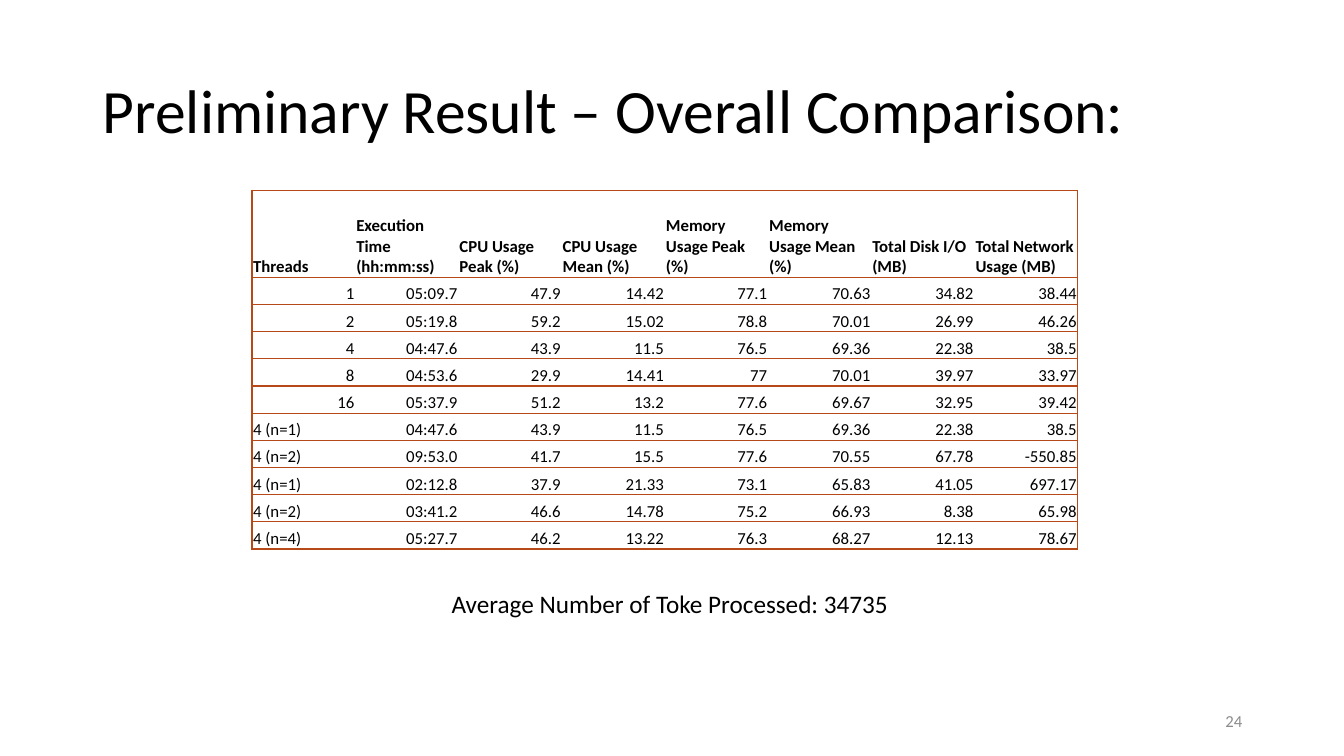
from lxml import etree
from pptx import Presentation
from pptx import util as u
from pptx.dml import color
from pptx.enum import text
from pptx.oxml import ns

TITLE = "Preliminary Result – Overall Comparison:"
CAPTION = "Average Number of Toke Processed: 34735"
PAGE = "24"
HEADINGS = (
    "Threads", "Execution Time (hh:mm:ss)", "CPU Usage Peak (%)",
    "CPU Usage Mean (%)", "Memory Usage Peak (%)", "Memory Usage Mean (%)",
    "Total Disk I/O (MB)", "Total Network Usage (MB)",
)
RUNS = [
    ("1", "05:09.7", "47.9", "14.42", "77.1", "70.63", "34.82", "38.44"),
    ("2", "05:19.8", "59.2", "15.02", "78.8", "70.01", "26.99", "46.26"),
    ("4", "04:47.6", "43.9", "11.5", "76.5", "69.36", "22.38", "38.5"),
    ("8", "04:53.6", "29.9", "14.41", "77", "70.01", "39.97", "33.97"),
    ("16", "05:37.9", "51.2", "13.2", "77.6", "69.67", "32.95", "39.42"),
    ("4 (n=1)", "04:47.6", "43.9", "11.5", "76.5", "69.36", "22.38", "38.5"),
    ("4 (n=2)", "09:53.0", "41.7", "15.5", "77.6", "70.55", "67.78", "-550.85"),
    ("4 (n=1)", "02:12.8", "37.9", "21.33", "73.1", "65.83", "41.05", "697.17"),
    ("4 (n=2)", "03:41.2", "46.6", "14.78", "75.2", "66.93", "8.38", "65.98"),
    ("4 (n=4)", "05:27.7", "46.2", "13.22", "76.3", "68.27", "12.13", "78.67"),
]
BLACK, WHITE, GREY, RUST = "000000", "FFFFFF", "8C8C8C", "B74919"
LEFT, RIGHT = text.PP_ALIGN.LEFT, text.PP_ALIGN.RIGHT
MIDDLE, BOTTOM = text.MSO_ANCHOR.MIDDLE, text.MSO_ANCHOR.BOTTOM
TABLE_LEFT, TABLE_TOP, TABLE_WIDTH = 2.5, 1.89, 8.19
HEADING_HEIGHT, RUN_HEIGHT = 0.86, 0.27


def rgb(hex_colour):
    return color.RGBColor.from_string(hex_colour)


def write(frame, words, size, colour=BLACK, align=LEFT, bold=False):
    paragraph = frame.paragraphs[0]
    paragraph.alignment = align
    run = paragraph.add_run()
    run.text = words
    font = run.font
    font.name, font.size, font.bold = "Calibri", u.Pt(size), bold
    font.color.rgb = rgb(colour)
    return paragraph


def add_border(cell, side, colour):
    """Line one side (L, R, T or B) of a cell; None hides the line."""
    line = etree.SubElement(cell._tc.get_or_add_tcPr(), ns.qn(f"a:ln{side}"))
    line.set("w", str(u.Pt(1)))
    if colour is None:
        etree.SubElement(line, ns.qn("a:noFill"))
    else:
        fill = etree.SubElement(line, ns.qn("a:solidFill"))
        etree.SubElement(fill, ns.qn("a:srgbClr")).set("val", colour)


def add_results(slide):
    rows = [HEADINGS, *RUNS]
    columns = len(HEADINGS)
    height = HEADING_HEIGHT + RUN_HEIGHT * len(RUNS)
    results = slide.shapes.add_table(
        len(rows), columns, u.Inches(TABLE_LEFT), u.Inches(TABLE_TOP),
        u.Inches(TABLE_WIDTH), u.Inches(height)).table
    results.first_row = results.horz_banding = False
    for column in results.columns:
        column.width = u.Inches(TABLE_WIDTH / columns)
    for r, values in enumerate(rows):
        heading = r == 0
        results.rows[r].height = u.Inches(HEADING_HEIGHT if heading else RUN_HEIGHT)
        for c, value in enumerate(values):
            cell = results.cell(r, c)
            cell.margin_left = cell.margin_right = cell.margin_top = u.Inches(0.01)
            cell.margin_bottom = 0
            cell.vertical_anchor = BOTTOM
            add_border(cell, "L", RUST if c == 0 else None)
            add_border(cell, "R", RUST if c == columns - 1 else None)
            add_border(cell, "T", RUST)
            add_border(cell, "B", RUST)
            cell.fill.solid()
            cell.fill.fore_color.rgb = rgb(WHITE)
            worded = heading or "n=" in value
            write(cell.text_frame, value, 12, align=LEFT if worded else RIGHT,
                  bold=heading)


def add_label(slide, left, top, width, height):
    return slide.shapes.add_textbox(
        u.Inches(left), u.Inches(top), u.Inches(width), u.Inches(height)).text_frame


def main():
    deck = Presentation()
    deck.slide_width, deck.slide_height = u.Inches(13.33), u.Inches(7.5)
    slide = deck.slides.add_slide(deck.slide_layouts[5])

    title = slide.shapes.title
    title.left, title.top = u.Inches(0.92), u.Inches(0.4)
    title.width, title.height = u.Inches(11.5), u.Inches(1.45)
    title.text_frame.vertical_anchor = MIDDLE
    write(title.text_frame, TITLE, 44).line_spacing = 0.9

    page = add_label(slide, 9.42, 6.95, 3, 0.4)
    page.word_wrap = True
    page.vertical_anchor = MIDDLE
    write(page, PAGE, 12, GREY, RIGHT)

    add_results(slide)

    caption = add_label(slide, 4.38, 5.79, 4.58, 0.4)
    caption.word_wrap = False
    caption.auto_size = text.MSO_AUTO_SIZE.SHAPE_TO_FIT_TEXT
    write(caption, CAPTION, 18)

    deck.save("out.pptx")


if __name__ == "__main__":
    main()
